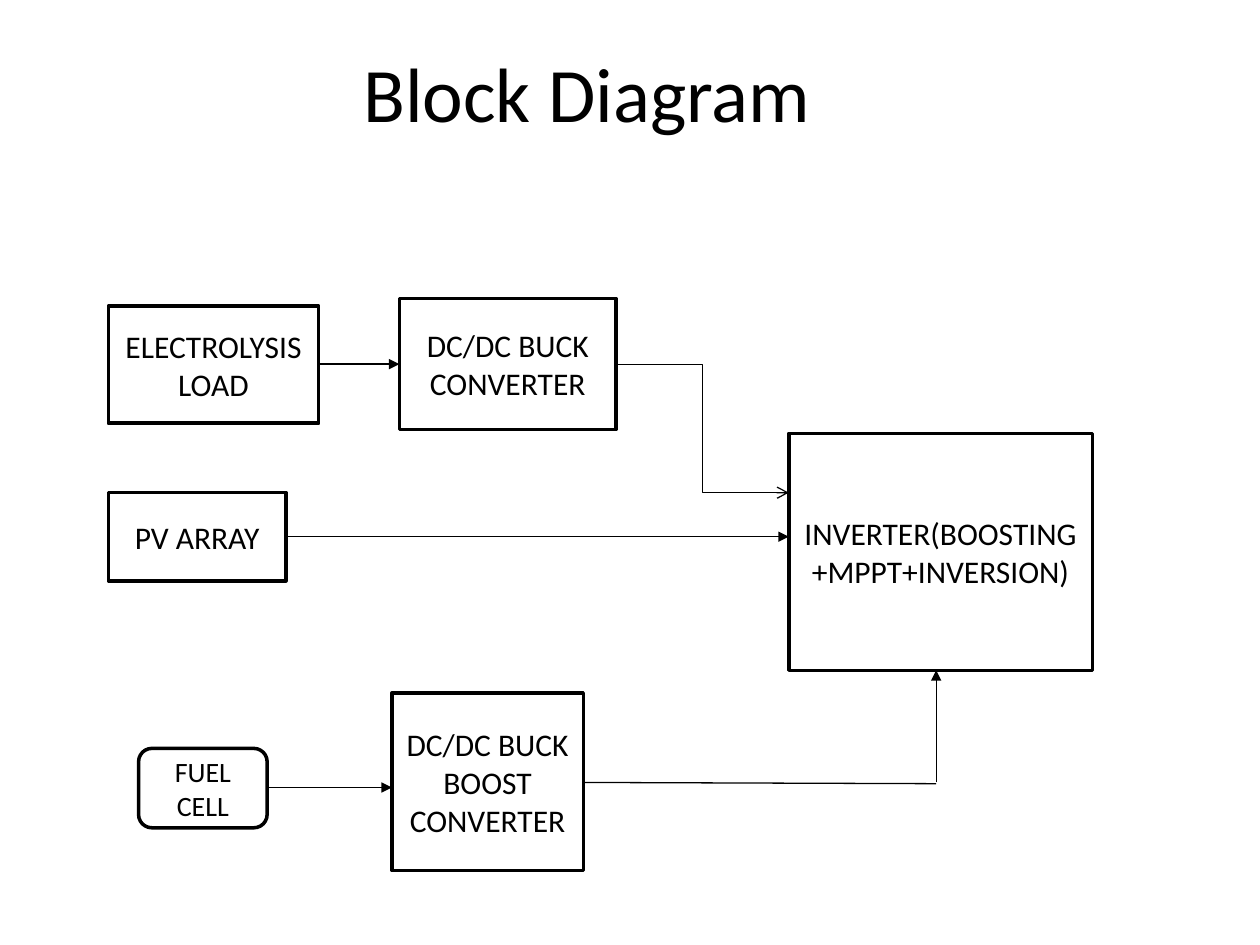
"""Build the block diagram slide of a fuel cell and solar inverter system."""
from lxml import etree
from pptx import Presentation
from pptx.dml.color import RGBColor
from pptx.enum.shapes import MSO_CONNECTOR as LINK, MSO_SHAPE as SHAPE
from pptx.enum.text import MSO_ANCHOR, PP_ALIGN
from pptx.oxml.ns import qn
from pptx.util import Inches, Pt

BLACK, WHITE = "000000", "FFFFFF"
TITLE = ("Block Diagram", (0.16, 0.1, 9, 1.25))
BLOCKS = [
    ("PV ARRAY", (0.86, 3.91, 1.41, 0.7), SHAPE.RECTANGLE, 18),
    ("INVERTER(BOOSTING+MPPT+INVERSION)", (6.26, 3.44, 2.41, 1.88), SHAPE.RECTANGLE, 18),
    ("ELECTROLYSIS LOAD", (0.86, 2.43, 1.67, 0.93), SHAPE.RECTANGLE, 18),
    ("DC/DC BUCK CONVERTER", (3.17, 2.37, 1.72, 1.04), SHAPE.RECTANGLE, 18),
    ("DC/DC BUCK BOOST CONVERTER", (3.11, 5.5, 1.52, 1.41), SHAPE.RECTANGLE, 18),
    ("FUEL CELL", (1.1, 5.94, 1.02, 0.63), SHAPE.ROUNDED_RECTANGLE, 16),
]
LINKS = [
    (LINK.ELBOW, (4.89, 2.89), (6.26, 3.91), "arrow"),
    (LINK.STRAIGHT, (2.53, 2.89), (3.17, 2.89), "triangle"),
    (LINK.STRAIGHT, (2.27, 4.26), (6.26, 4.26), "triangle"),
    (LINK.STRAIGHT, (2.12, 6.25), (3.11, 6.25), "triangle"),
    (LINK.STRAIGHT, (7.43, 6.21), (7.43, 5.32), "triangle"),
    (LINK.STRAIGHT, (4.63, 6.21), (7.43, 6.22), None),
]


def color(value):
    return RGBColor.from_string(value)


def write(box, text, size, font="Calibri", ink=BLACK):
    frame = box.text_frame
    frame.word_wrap = True
    frame.vertical_anchor = MSO_ANCHOR.MIDDLE
    para = frame.paragraphs[0]
    para.alignment = PP_ALIGN.CENTER
    span = para.add_run()
    span.text = text
    span.font.size = Pt(size)
    span.font.name = font
    span.font.color.rgb = color(ink)


def add_block(page, text, place, kind, size):
    box = page.shapes.add_shape(kind, *map(Inches, place))
    box.shadow.inherit = False
    box.fill.solid()
    box.fill.fore_color.rgb = color(WHITE)
    box.line.color.rgb = color(BLACK)
    box.line.width = Pt(2)
    write(box, text, size)


def add_link(page, kind, start, end, head):
    link = page.shapes.add_connector(kind, *map(Inches, start + end))
    link.line.color.rgb = color(BLACK)
    link.line.width = Pt(0.75)
    if head:
        etree.SubElement(link.line._get_or_add_ln(), qn("a:tailEnd"), type=head)
    etree.SubElement(link._element.spPr, qn("a:effectLst"))


deck = Presentation()
deck.slide_width, deck.slide_height = Inches(10), Inches(7.5)
page = deck.slides.add_slide(deck.slide_layouts[6])

heading, place = TITLE
write(page.shapes.add_textbox(*map(Inches, place)), heading, 44)
for block in BLOCKS:
    add_block(page, *block)
for link in LINKS:
    add_link(page, *link)

deck.save("out.pptx")
